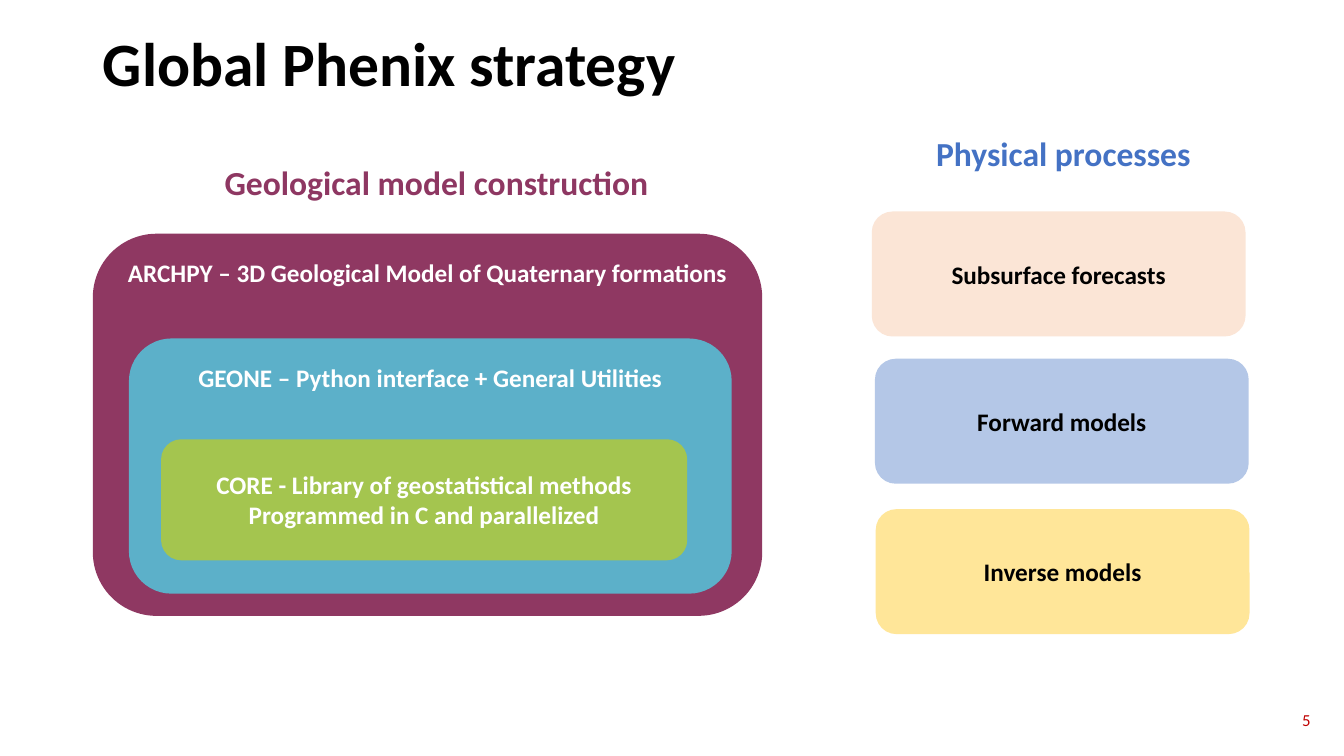
import pptx
import pptx.util
import pptx.dml.color
import pptx.enum.shapes
import pptx.enum.text

Cm = pptx.util.Cm
Pt = pptx.util.Pt
Align = pptx.enum.text.PP_ALIGN
Anchor = pptx.enum.text.MSO_ANCHOR
Round = pptx.enum.shapes.MSO_SHAPE.ROUNDED_RECTANGLE

hues = {
    "black": "000000", "white": "FFFFFF", "red": "C00000",
    "plum": "8F3862", "wine": "8E3762", "teal": "5CB0C9", "green": "A4C54F",
    "blue": "4472C4", "peach": "FBE5D6", "sky": "B4C7E7", "yellow": "FFE699",
}


def tint(name):
    return pptx.dml.color.RGBColor.from_string(hues[name])


def write(frame, lines, size, hue, align, anchor, bold=True):
    frame.vertical_anchor = anchor
    for i, line in enumerate(lines):
        para = frame.paragraphs[0] if i == 0 else frame.add_paragraph()
        para.alignment = align
        run = para.add_run()
        run.text = line
        run.font.name = "Calibri"
        run.font.size = Pt(size)
        run.font.bold = bold
        run.font.color.rgb = tint(hue)


deck = pptx.Presentation()
deck.slide_width = Cm(33.87)
deck.slide_height = Cm(19.05)
slide = deck.slides.add_slide(deck.slide_layouts[5])

title = slide.shapes.title
title.left, title.top = Cm(2.34), Cm(0.53)
title.width, title.height = Cm(29.21), Cm(2.31)
write(title.text_frame, ["Global Phenix strategy"], 44, "black", Align.LEFT, Anchor.MIDDLE)
title.text_frame.paragraphs[0].line_spacing = 0.9

heads = [
    ("Geological model construction", "wine", 5.41, 3.96, 11.3),
    ("Physical processes", "blue", 23.34, 3.23, 7.04),
]
for text, hue, left, top, width in heads:
    box = slide.shapes.add_textbox(Cm(left), Cm(top), Cm(width), Cm(1.27))
    box.text_frame.word_wrap = False
    write(box.text_frame, [text], 24, hue, Align.LEFT, Anchor.TOP)

cards = [
    (["ARCHPY – 3D Geological Model of Quaternary formations"],
     "plum", "white", Anchor.TOP, 2.34, 5.89, 16.87, 9.63),
    (["GEONE – Python interface + General Utilities"],
     "teal", "white", Anchor.TOP, 3.25, 8.53, 15.19, 6.43),
    (["CORE - Library of geostatistical methods", "Programmed in C and parallelized"],
     "green", "white", Anchor.MIDDLE, 4.06, 11.07, 13.26, 3.05),
]
steps = [
    ("Subsurface forecasts", "peach", 21.97, 5.33),
    ("Forward models", "sky", 22.05, 9.04),
    ("Inverse models", "yellow", 22.07, 12.83),
]
for text, fill, left, top in steps:
    cards.append(([text], fill, "black", Anchor.MIDDLE, left, top, 9.42, 3.15))

for lines, fill, hue, anchor, left, top, width, height in cards:
    card = slide.shapes.add_shape(Round, Cm(left), Cm(top), Cm(width), Cm(height))
    card.shadow.inherit = False
    card.fill.solid()
    card.fill.fore_color.rgb = tint(fill)
    card.line.fill.background()
    card.text_frame.word_wrap = True
    if fill == "teal":
        card.text_frame.margin_top = Cm(0.28)
    write(card.text_frame, lines, 18, hue, Align.CENTER, anchor)

page = slide.shapes.add_textbox(Cm(30.33), Cm(17.63), Cm(2.95), Cm(1.02))
page.text_frame.word_wrap = True
write(page.text_frame, ["5"], 12, "red", Align.RIGHT, Anchor.MIDDLE, False)

deck.save("out.pptx")
